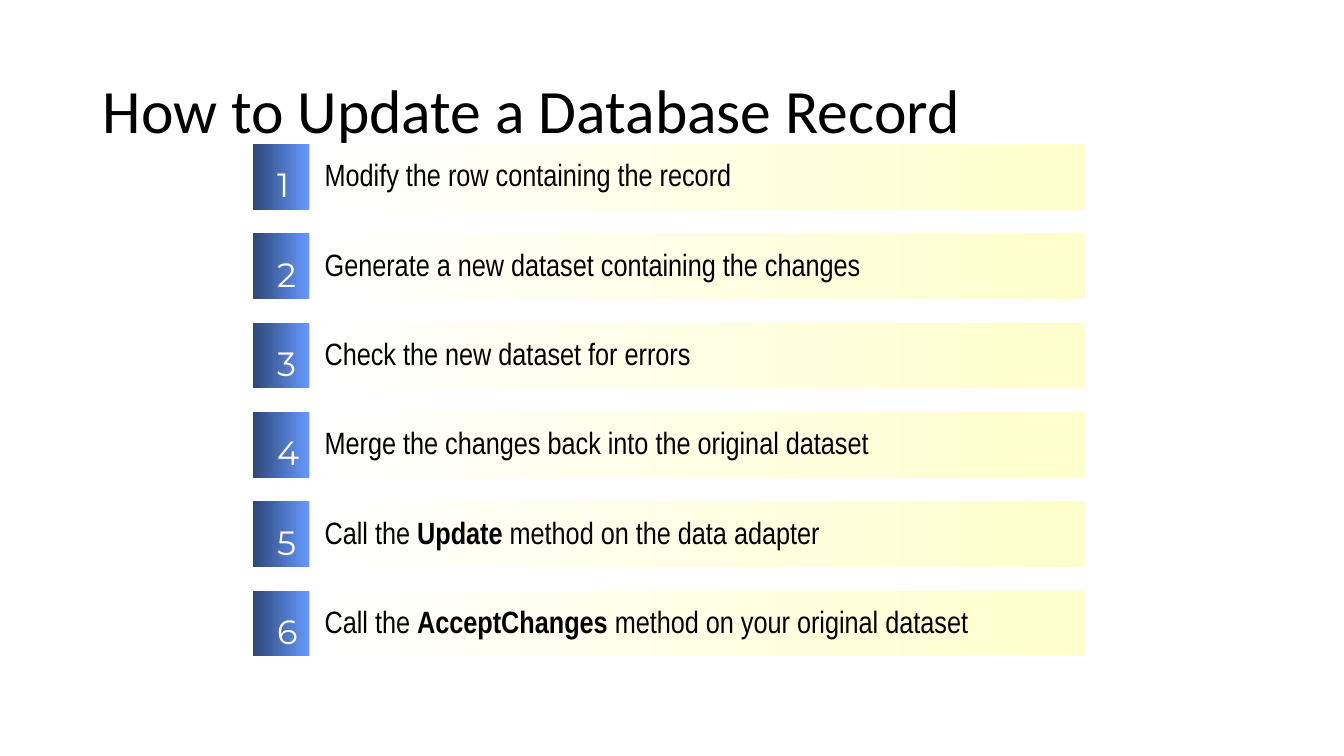
from lxml.etree import SubElement
from pptx import Presentation
from pptx.dml.color import RGBColor
from pptx.enum.shapes import MSO_SHAPE
from pptx.enum.text import MSO_ANCHOR, PP_ALIGN
from pptx.oxml.ns import qn
from pptx.util import Inches, Pt

BLACK = RGBColor(0x00, 0x00, 0x00)
WHITE = RGBColor(0xFF, 0xFF, 0xFF)
CREAM = RGBColor(0xFF, 0xFF, 0xCC)
NAVY = RGBColor(0x2F, 0x47, 0x76)
BLUE = RGBColor(0x66, 0x99, 0xFF)

TITLE = {"name": "Calibri", "size": Pt(44)}
BODY = {"name": "Arial Narrow", "size": Pt(22)}
DIGIT = {"name": "Montserrat", "size": Pt(24)}

TOP, PITCH, HIGH = 1.43, 0.886, 0.65
STEPS = [
    ["Modify the row containing the record"],
    ["Generate a new dataset containing the changes"],
    ["Check the new dataset for errors"],
    ["Merge the changes back into the original dataset"],
    ["Call the ", "Update", " method on the data adapter"],
    ["Call the ", "AcceptChanges ", "method on your original dataset"],
]

deck = Presentation()
deck.slide_width, deck.slide_height = Inches(13.33), Inches(7.5)
slide = deck.slides.add_slide(deck.slide_layouts[6])


def write(box, parts, style, color, anchor):
    frame = box.text_frame
    frame.word_wrap = True
    frame.vertical_anchor = anchor
    line = frame.paragraphs[0]
    line.alignment = PP_ALIGN.LEFT
    for n, part in enumerate(parts):
        run = line.add_run()
        run.text = part
        run.font.bold = n == 1
        run.font.color.rgb = color
        for key, value in style.items():
            setattr(run.font, key, value)
    return line


def bar(left, top, wide, first, last):
    box = slide.shapes.add_shape(
        MSO_SHAPE.RECTANGLE, Inches(left), Inches(top), Inches(wide), Inches(HIGH))
    box.shadow.inherit = False
    box.line.fill.background()
    box.fill.gradient()
    box.fill.gradient_angle = 0
    for n, (stop, color) in enumerate(zip(box.fill.gradient_stops, (first, last))):
        stop.position = n
        stop.color.rgb = color
    return box


title = slide.shapes.add_textbox(Inches(0.92), Inches(0.4), Inches(11.5), Inches(1.45))
write(title, ["How to Update a Database Record"], TITLE, BLACK, MSO_ANCHOR.MIDDLE).line_spacing = 0.9

for row, parts in enumerate(STEPS):
    top = TOP + row * PITCH
    step = bar(3.05, top, 7.71, WHITE, CREAM)
    line = write(step, parts, BODY, BLACK, MSO_ANCHOR.MIDDLE)
    step.text_frame.margin_left = Inches(0.05)
    line.level = 1
    line.line_spacing = 0.9
    props = line._p.get_or_add_pPr()
    props.set("marL", str(Inches(0.12)))
    props.set("indent", "0")
    SubElement(SubElement(props, qn("a:spcBef")), qn("a:spcPct")).set("val", "60000")

    bar(2.51, top, 0.56, NAVY, BLUE)
    digit = slide.shapes.add_textbox(
        Inches(2.65), Inches(top + 0.15), Inches(0.21), Inches(0.3))
    digit.text_frame.margin_right = 0
    write(digit, [str(row + 1)], DIGIT, WHITE, MSO_ANCHOR.TOP)

deck.save("out.pptx")
